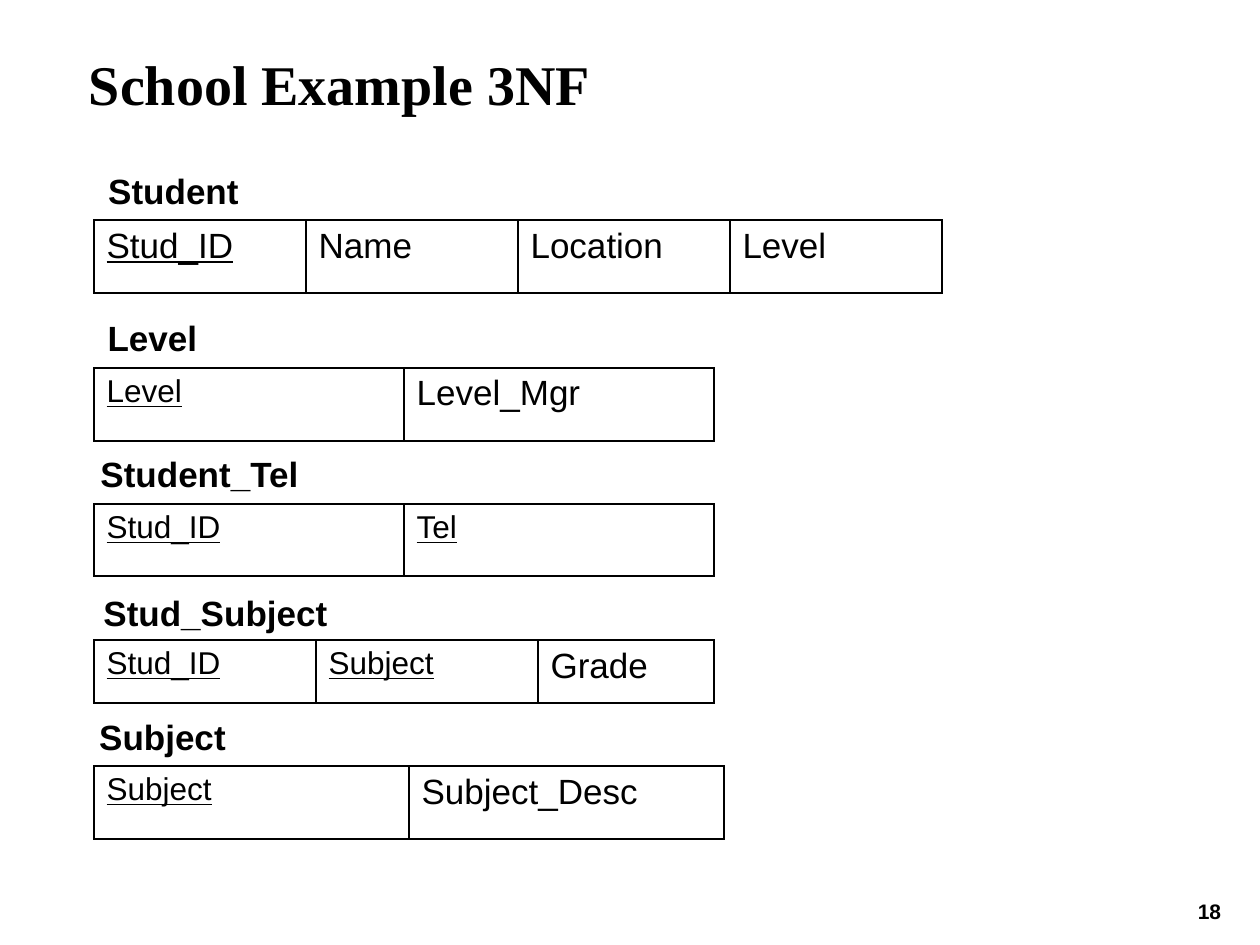
from dataclasses import dataclass

from lxml import etree
from pptx import Presentation
from pptx import util as u
from pptx.dml.color import RGBColor
from pptx.enum import text as t
from pptx.oxml.ns import qn

SCALE = 914400 / 126
HUES = {"ink": "000000"}
LEFT = 94
PAD = (13, 6, 13, 6)


def px(n: int) -> u.Emu:
    return u.Emu(round(n * SCALE))


@dataclass
class Field:
    name: str
    key: bool = False
    size: int = 20


@dataclass
class Table:
    name: str
    label: tuple[int, int, int]  # left, top, width
    top: int
    height: int
    cols: list[int]
    fields: list[Field]


TABLES = [
    Table("Student", (84, 168, 179), 220, 73, [212] * 4,
          [Field("Stud_ID", True), Field("Name"), Field("Location"), Field("Level")]),
    Table("Level", (63, 315, 179), 368, 73, [310] * 2,
          [Field("Level", True, 18), Field("Level_Mgr")]),
    Table("Student_Tel", (42, 451, 315), 504, 72, [310] * 2,
          [Field("Stud_ID", True, 18), Field("Tel", True, 18)]),
    Table("Stud_Subject", (63, 590, 305), 640, 63, [222, 222, 176],
          [Field("Stud_ID", True, 18), Field("Subject", True, 18), Field("Grade")]),
    Table("Subject", (73, 714, 179), 766, 73, [315] * 2,
          [Field("Subject", True, 18), Field("Subject_Desc")]),
]


def write(frame, words: str, *, size: int = 20, font: str = "Arial",
          bold: bool = False, under: bool = False,
          align=t.PP_ALIGN.LEFT, lead: float = 1.0) -> None:
    para = frame.paragraphs[0]
    para.alignment = align
    para.line_spacing = lead
    run = para.add_run()
    run.text = words
    face = run.font
    face.name, face.size = font, u.Pt(size)
    face.bold, face.underline = bold, under
    face.color.rgb = RGBColor.from_string(HUES["ink"])


def add_text(slide, box: tuple[int, int, int, int], words: str, *,
             pad: tuple[int, int, int, int] = PAD, **style) -> None:
    frame = slide.shapes.add_textbox(*map(px, box)).text_frame
    frame.word_wrap = True
    (frame.margin_left, frame.margin_top,
     frame.margin_right, frame.margin_bottom) = map(px, pad)
    write(frame, words, **style)


def rule(cell) -> None:
    """Draw a one-point line on all four sides of a cell."""
    props = cell._tc.get_or_add_tcPr()
    for side in ("lnL", "lnR", "lnT", "lnB"):
        line = etree.SubElement(props, qn(f"a:{side}"), w=str(u.Pt(1)))
        fill = etree.SubElement(line, qn("a:solidFill"))
        etree.SubElement(fill, qn("a:srgbClr"), val=HUES["ink"])


def add_table(slide, item: Table) -> None:
    box = (LEFT, item.top, sum(item.cols), item.height)
    grid = slide.shapes.add_table(1, len(item.cols), *map(px, box)).table
    grid.first_row = grid.horz_banding = False
    for col, width in zip(grid.columns, item.cols):
        col.width = px(width)
    for cell, field in zip(grid.rows[0].cells, item.fields):
        rule(cell)
        cell.fill.background()
        write(cell.text_frame, field.name, size=field.size, under=field.key)


def main() -> None:
    deck = Presentation()
    deck.slide_width, deck.slide_height = px(1260), px(945)
    slide = deck.slides.add_slide(deck.slide_layouts[6])
    label = {"bold": True, "align": t.PP_ALIGN.CENTER, "lead": 0.9}

    add_text(slide, (1178, 895, 63, 35), "18", size=12, **label)
    add_text(slide, (89, 42, 1045, 130), "School Example 3NF", pad=(0, 7, 0, 0),
             size=32, font="Times New Roman", bold=True)
    for item in TABLES:
        add_table(slide, item)
        add_text(slide, (*item.label, 50), item.name, **label)
    deck.save("out.pptx")


if __name__ == "__main__":
    main()
